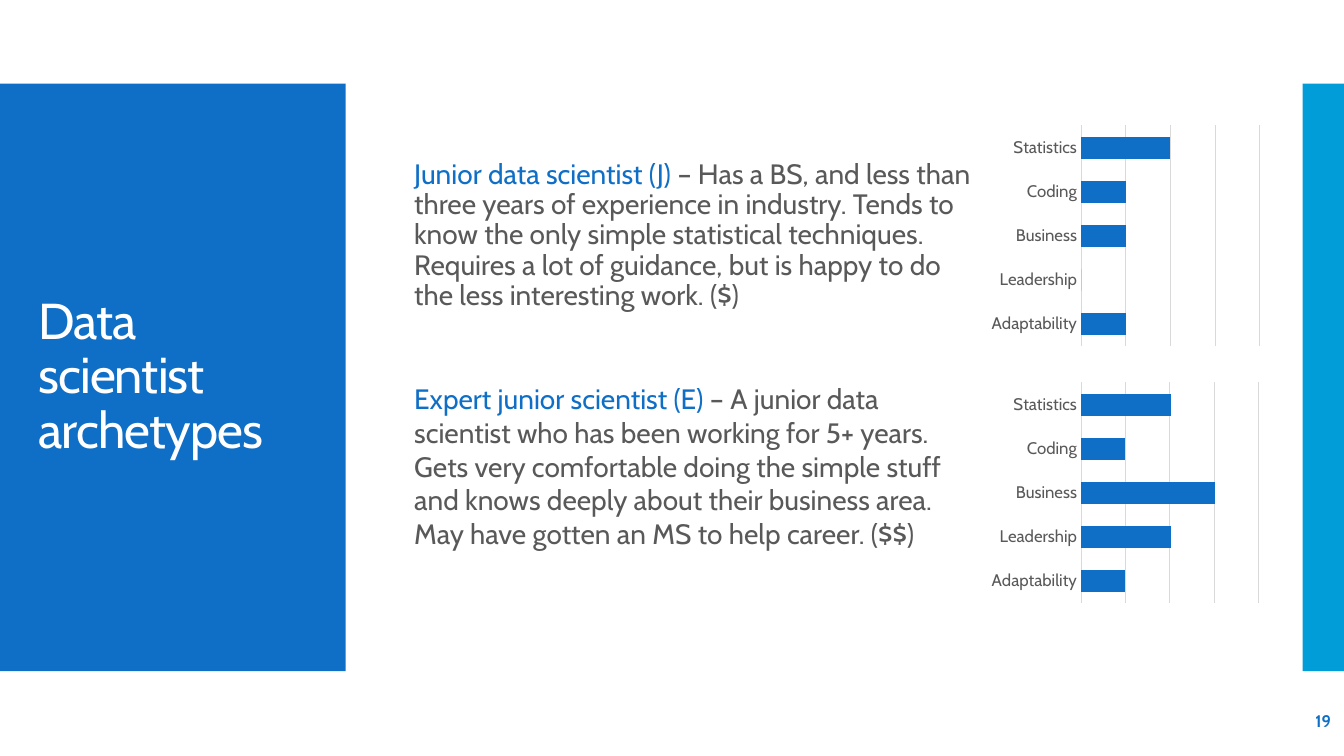
from pptx import Presentation
from pptx.chart.data import CategoryChartData
from pptx.dml.color import RGBColor
from pptx.enum.chart import XL_CHART_TYPE as CHART, XL_TICK_MARK as TICK
from pptx.enum.shapes import MSO_SHAPE as SHAPE
from pptx.enum.text import MSO_ANCHOR as ANCHOR, PP_ALIGN as ALIGN
from pptx.util import Inches, Pt

COLORS = {"blue": "0F6FC6", "cyan": "009DD9", "white": "FFFFFF",
          "text": "595959", "grid": "D9D9D9"}
FONT = "Cabin"


def rgb(name):
    return RGBColor.from_string(COLORS[name])


class Deck:
    def __init__(self, slide, font):
        self.s = slide
        self.font = font

    def style(self, font, size, color=None, bold=False):
        font.name, font.size, font.bold = self.font, Pt(size), bold
        if color:
            font.color.rgb = rgb(color)

    def rect(self, box, color):
        sp = self.s.shapes.add_shape(SHAPE.RECTANGLE, *map(Inches, box))
        sp.shadow.inherit = False
        sp.fill.solid()
        sp.fill.fore_color.rgb = rgb(color)
        sp.line.fill.background()

    def text(self, box, runs, size, anchor=ANCHOR.MIDDLE, align=ALIGN.LEFT,
             bold=False, line=1.0, spacing=None):
        tf = self.s.shapes.add_textbox(*map(Inches, box)).text_frame
        tf.word_wrap = True
        tf.vertical_anchor = anchor
        p = tf.paragraphs[0]
        p.alignment, p.line_spacing = align, line
        shared = runs[0][1] if len(runs) == 1 else None
        self.style(p.font, size, shared, bold)
        for words, color in runs:
            r = p.add_run()
            r.text = words
            if not shared:
                r.font.color.rgb = rgb(color)
            if spacing:
                r._r.get_or_add_rPr().set("spc", str(spacing))

    def bars(self, box, cats, values, top, step):
        data = CategoryChartData()
        data.categories = cats
        data.add_series("Series 1", values)
        chart = self.s.shapes.add_chart(
            CHART.BAR_CLUSTERED, *map(Inches, box), data).chart
        chart.has_legend = chart.has_title = False
        self.style(chart.font, 12, "text")

        cat = chart.category_axis
        cat.major_tick_mark = cat.minor_tick_mark = TICK.NONE
        cat.has_major_gridlines = False
        val = chart.value_axis
        val.visible = False
        val.minimum_scale, val.maximum_scale, val.major_unit = 0, top, step
        val.has_major_gridlines = True
        for fmt in (cat.format, val.major_gridlines.format):
            fmt.line.color.rgb = rgb("grid")
            fmt.line.width = Pt(0.75)

        plot = chart.plots[0]
        plot.gap_width = 100
        plot.vary_by_categories = False
        fill = plot.series[0].format.fill
        fill.solid()
        fill.fore_color.rgb = rgb("blue")


prs = Presentation()
prs.slide_width, prs.slide_height = Inches(13.33), Inches(7.5)
deck = Deck(prs.slides.add_slide(prs.slide_layouts[6]), FONT)

# Side panels and title
deck.rect((0, 0.83, 3.43, 5.83), "blue")
deck.rect((12.92, 0.83, 0.41, 5.83), "cyan")
deck.text((0.28, 1.23, 2.9, 5.03), [("Data scientist archetypes", "white")],
          36, line=0.9, spacing=-60)

# Archetype descriptions
deck.text((4.01, 1.07, 5.76, 2.54), [
    ("Junior data scientist (J) ", "blue"),
    ("– Has a BS, and less than three years of experience in industry. "
     "Tends to know the only simple statistical techniques. Requires a lot "
     "of guidance, but is happy to do the less interesting work. ($)", "text"),
], 20, line=0.9)
deck.text((4.01, 3.74, 5.82, 1.78), [
    ("Expert junior scientist (E) ", "blue"),
    ("– A junior data scientist who has been working for 5+ years. Gets very "
     "comfortable doing the simple stuff and knows deeply about their "
     "business area. May have gotten an MS to help career. ($$)", "text"),
], 20, anchor=ANCHOR.TOP)

# Skill profiles
skills = ["Adaptability", "Leadership", "Business", "Coding", "Statistics"]
profiles = [(1.2, (50, 0, 50, 50, 100), 200, 50),
            (3.75, (33, 67, 100, 33, 67), 133, 33)]
for y, values, top, step in profiles:
    deck.bars((9.78, y, 2.77, 2.28), skills, values, top, step)

# Slide number
deck.text((11.63, 6.95, 1.67, 0.4), [("19", "blue")], 12,
          align=ALIGN.RIGHT, bold=True)

prs.save("out.pptx")
